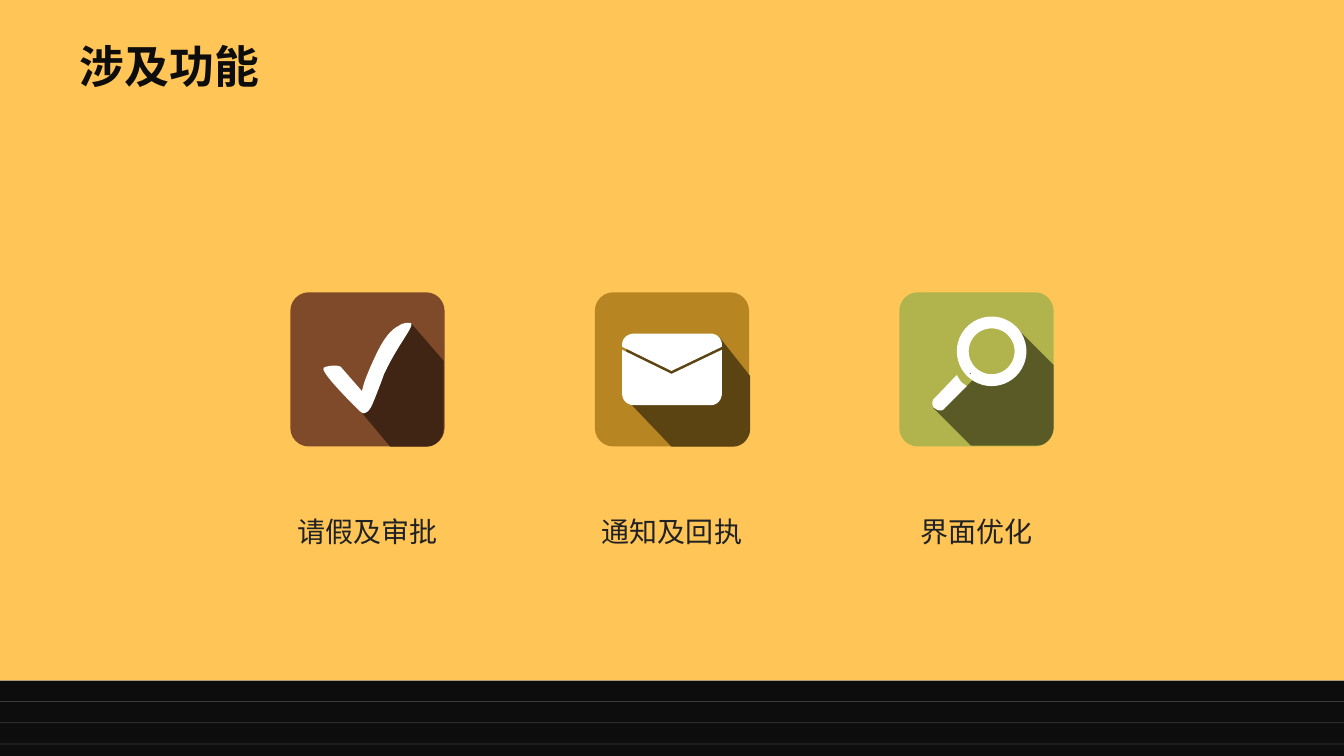
from lxml.etree import SubElement
from pptx import Presentation
from pptx.dml.color import RGBColor
from pptx.enum.shapes import MSO_CONNECTOR as Connector, MSO_SHAPE as Preset
from pptx.enum.text import MSO_ANCHOR as Anchor, PP_ALIGN as Align
from pptx.oxml.ns import qn
from pptx.util import Inches, Pt

COLORS = {
    "black": "0D0D0D", "yellow": "FFC557", "white": "FFFFFF", "label": "202122",
    "brown": "7F4A2A", "brown_shadow": "402515",
    "ochre": "B78623", "ochre_shadow": "5C4312",
    "olive": "B1B34D", "olive_shadow": "595A26", "grey": "727171",
}
WIDTH, HEIGHT = 13.33, 7.5
FLOOR_TOP, FLOOR_STEP = 6.75, 0.21
TILE_LEFT, TILE_TOP, TILE_SIZE, TILE_PITCH = 2.88, 2.9, 1.53, 3.02
LABEL_TOP, LABEL_WIDTH, LABEL_HEIGHT = 4.97, 1.7, 0.61
CURVE_STEPS = 12


def flatten(segments):
    points = [segments[0]]
    for segment in segments[1:]:
        if len(segment) == 2:
            points.append(segment)
            continue
        controls = [points[-1], segment[:2], segment[2:4], segment[4:]]
        for step in range(1, CURVE_STEPS + 1):
            t = step / CURVE_STEPS
            weights = ((1 - t) ** 3, 3 * t * (1 - t) ** 2, 3 * t ** 2 * (1 - t), t ** 3)
            points.append(tuple(sum(weight * control[axis] for weight, control in zip(weights, controls))
                                for axis in (0, 1)))
    return [(Inches(x), Inches(y)) for x, y in points]


class SlideBuilder:
    title_font = "Noto Sans CJK SC"
    label_font = "Calibri"

    def __init__(self, slide):
        self.slide = slide
        self.shapes = slide.shapes

    def color(self, name):
        return RGBColor.from_string(COLORS[name])

    def paint(self, shape, color):
        shape.shadow.inherit = False
        shape.fill.solid()
        shape.fill.fore_color.rgb = self.color(color)
        shape.line.fill.background()

    def preset(self, kind, left, top, width, height, color, adjustment=None):
        shape = self.shapes.add_shape(kind, Inches(left), Inches(top), Inches(width), Inches(height))
        if adjustment is not None:
            shape.adjustments[0] = adjustment
        self.paint(shape, color)

    def outline(self, color, *contours):
        builder = None
        for contour in contours:
            points = flatten(contour)
            if builder is None:
                builder = self.shapes.build_freeform(*points[0], scale=1.0)
            else:
                builder.move_to(*points[0])
            builder.add_line_segments(points[1:], close=True)
        self.paint(builder.convert_to_shape(), color)

    def rule(self, top):
        line = self.shapes.add_connector(Connector.STRAIGHT, 0, Inches(top), Inches(WIDTH), Inches(top))
        line.line.width = Pt(0.5)
        line.line.color.rgb = self.color("white")
        properties = line._element.spPr
        SubElement(properties.find(".//" + qn("a:srgbClr")), qn("a:alpha")).set("val", "18000")
        SubElement(properties, qn("a:effectLst"))

    def set_text(self, shape, text, font, size, color, align, bold=False):
        frame = shape.text_frame
        frame.text = text
        frame.word_wrap = True
        frame.vertical_anchor = Anchor.MIDDLE
        paragraph = frame.paragraphs[0]
        paragraph.alignment = align
        run = paragraph.runs[0]
        run.font.name = font
        run.font.size = Pt(size)
        run.font.bold = bold
        run.font.color.rgb = self.color(color)
        return run

    def label(self, text, left):
        box = self.shapes.add_textbox(Inches(left), Inches(LABEL_TOP), Inches(LABEL_WIDTH), Inches(LABEL_HEIGHT))
        self.set_text(box, text, self.label_font, 20, "label", Align.CENTER)

    def title(self, text):
        title = self.shapes.title
        title.left, title.top = Inches(0.69), Inches(0.25)
        title.width, title.height = Inches(11.87), Inches(0.87)
        run = self.set_text(title, text, self.title_font, 32, "black", Align.LEFT, bold=True)
        SubElement(run.font._element, qn("a:ea")).set("typeface", self.title_font)
        title.text_frame.paragraphs[0].line_spacing = 0.9
        self.shapes._spTree.append(title._element)


presentation = Presentation()
presentation.slide_width, presentation.slide_height = Inches(WIDTH), Inches(HEIGHT)
builder = SlideBuilder(presentation.slides.add_slide(presentation.slide_layouts[5]))

builder.preset(Preset.RECTANGLE, 0, FLOOR_TOP, WIDTH, HEIGHT - FLOOR_TOP, "black")
builder.preset(Preset.RECTANGLE, 0, 0, WIDTH, FLOOR_TOP, "yellow")
for index in range(4):
    builder.rule(FLOOR_TOP + index * FLOOR_STEP)

features = [("请假及审批", "brown"), ("通知及回执", "ochre"), ("界面优化", "olive")]
for index, (text, color) in enumerate(features):
    tile_left = TILE_LEFT + index * TILE_PITCH
    builder.preset(Preset.ROUNDED_RECTANGLE, tile_left, TILE_TOP, TILE_SIZE, TILE_SIZE, color, 0.12)
    builder.label(text, tile_left + (TILE_SIZE - LABEL_WIDTH) / 2)

check_shadow = [(4.07, 3.23), (3.56, 4.06), (3.87, 4.43), (4.24, 4.43),
                (4.32, 4.43, 4.4, 4.35, 4.4, 4.25), (4.4, 3.58), (4.08, 3.21)]
check_mark = [(3.61, 4.1), (3.59, 4.1, 3.57, 4.08, 3.55, 4.06), (3.55, 4.06, 3.17, 3.69, 3.21, 3.65),
              (3.23, 3.63, 3.37, 3.61, 3.39, 3.65), (3.59, 3.88), (3.61, 3.82, 3.59, 3.84, 3.67, 3.65),
              (3.75, 3.47, 3.83, 3.29, 3.96, 3.23), (3.98, 3.21, 4.06, 3.19, 4.08, 3.21),
              (4.1, 3.25, 3.94, 3.43, 3.81, 3.71), (3.75, 3.88, 3.69, 4.02, 3.69, 4.02),
              (3.66, 4.08, 3.64, 4.09, 3.61, 4.1)]
builder.outline("brown_shadow", check_shadow)
builder.outline("white", check_mark)

envelope_shadow = [(7.11, 3.39), (6.21, 3.38), (6.23, 3.98), (6.66, 4.43), (7.28, 4.43),
                   (7.36, 4.43, 7.44, 4.35, 7.44, 4.26), (7.44, 3.73), (7.14, 3.35)]
envelope_body = [(6.17, 3.47), (6.66, 3.71), (7.16, 3.47), (7.16, 3.9),
                 (7.16, 3.97, 7.11, 4.02, 7.05, 4.02), (6.29, 4.02),
                 (6.22, 4.02, 6.17, 3.97, 6.17, 3.9)]
envelope_flap = [(6.29, 3.31), (7.05, 3.31), (7.11, 3.31, 7.16, 3.36, 7.16, 3.42), (7.16, 3.44),
                 (6.66, 3.68), (6.17, 3.44), (6.17, 3.42), (6.17, 3.36, 6.22, 3.31, 6.29, 3.31)]
builder.outline("ochre_shadow", envelope_shadow)
builder.outline("white", envelope_body, envelope_flap)

lens_shadow = [(10.1, 3.27), (10.06, 3.64), (9.78, 3.79), (9.65, 3.77), (9.59, 3.83), (9.26, 4.05),
               (9.63, 4.42), (10.29, 4.42), (10.37, 4.42, 10.45, 4.34, 10.45, 4.24), (10.45, 3.62)]
lens_handle = [(9.59, 3.83), (9.53, 3.79, 9.53, 3.79, 9.49, 3.72), (9.27, 3.95),
               (9.24, 3.97, 9.24, 4.03, 9.27, 4.05), (9.31, 4.08, 9.35, 4.08, 9.37, 4.05)]
builder.outline("olive_shadow", lens_shadow)
builder.preset(Preset.DONUT, 9.49, 3.14, 0.69, 0.69, "white", 0.17)
builder.preset(Preset.RECTANGLE, 9.62, 3.7, 0.01, 0.01, "grey")
builder.outline("white", lens_handle)

builder.title("涉及功能")
presentation.save("out.pptx")
